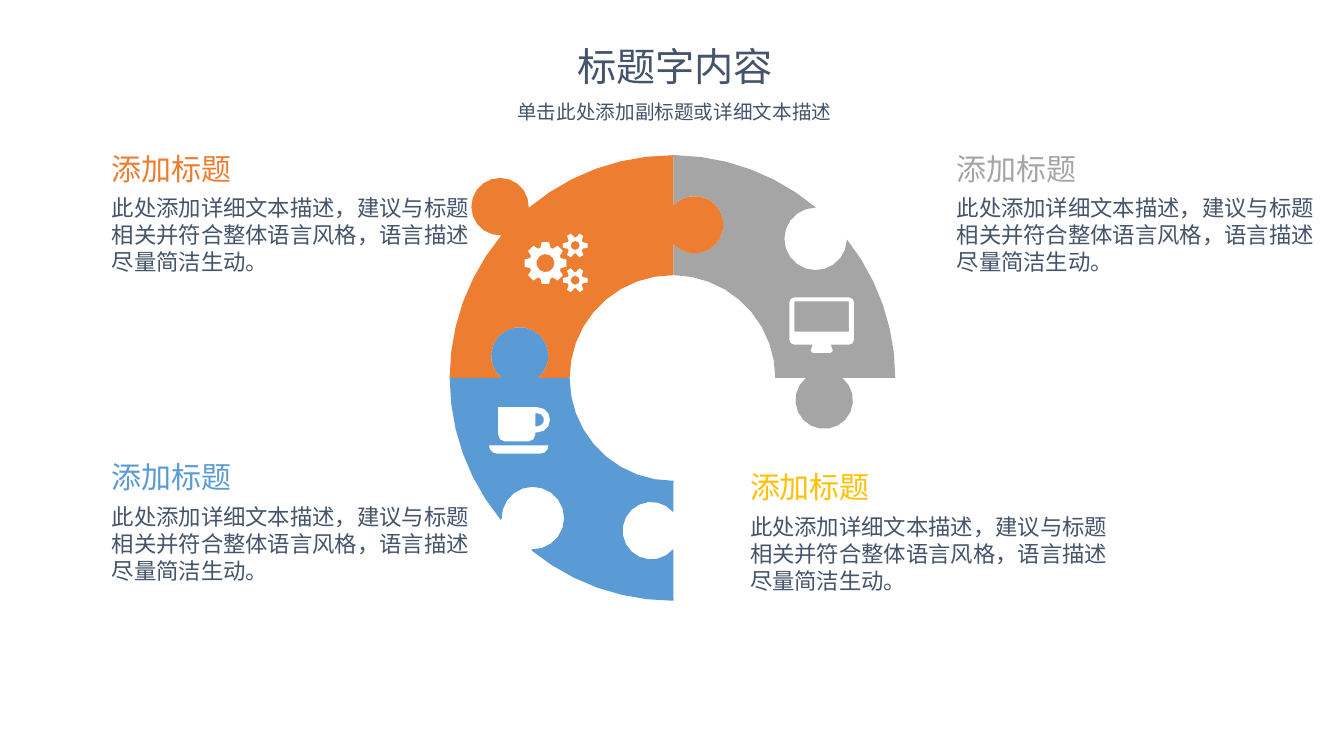
from math import cos, radians, sin, sqrt

from lxml import etree
from pptx import Presentation
from pptx.dml.color import RGBColor
from pptx.enum import text
from pptx.oxml import ns
from pptx.util import Inches, Pt

ORANGE = RGBColor(0xED, 0x7D, 0x31)
GRAY = RGBColor(0xA5, 0xA5, 0xA5)
BLUE = RGBColor(0x5B, 0x9B, 0xD5)
YELLOW = RGBColor(0xFF, 0xC0, 0x00)
SLATE = RGBColor(0x44, 0x54, 0x6A)
WHITE = RGBColor(0xFF, 0xFF, 0xFF)
HEADING_FONT = "Noto Sans CJK SC"
BODY_FONT = "Arial"

prs = Presentation()
prs.slide_width, prs.slide_height = Inches(13.33), Inches(7.5)
slide = prs.slides.add_slide(prs.slide_layouts[6])


def arc(x, y, radius, start, end):
    """Points along a circle, wider apart on small ones; degrees grow clockwise from the right."""
    steps = max(2, round(abs(end - start) * sqrt(radius) / 10))
    angles = [radians(start + (end - start) * i / steps) for i in range(steps + 1)]
    return [(x + radius * cos(a), y + radius * sin(a)) for a in angles]


def add_words(words, box, size, font_name, color, centered=False):
    frame = slide.shapes.add_textbox(*map(Inches, box)).text_frame
    frame.word_wrap = not centered
    frame.auto_size = text.MSO_AUTO_SIZE.SHAPE_TO_FIT_TEXT
    paragraph = frame.paragraphs[0]
    paragraph.alignment = text.PP_ALIGN.CENTER if centered else text.PP_ALIGN.LEFT
    run = paragraph.add_run()
    run.text = words
    for key, value in {"size": Pt(size), "name": font_name}.items():
        setattr(run.font, key, value)
    run.font.color.rgb = color
    east_asian = etree.SubElement(run.font._element, ns.qn("a:ea"))
    east_asian.set("typeface", font_name)


add_words("标题字内容", (5.61, 0.37, 2.17, 0.57), 28, HEADING_FONT, SLATE, True)
add_words("单击此处添加副标题或详细文本描述", (5.02, 0.94, 3.34, 0.34),
          14, HEADING_FONT, SLATE, True)

# Puzzle ring: two rims, the vertical seam, and circular knobs and notches
OUTER = (6.67, 3.75, 2.21)
INNER = (6.67, 3.75, 1.02)
SEAM = 6.68
top_knob = (6.89, 2.23, 0.285)
left_knob = (5.155, 3.53, 0.285)
corner_knob = (4.96, 2.05, 0.285)
right_knob = (8.175, 3.97, 0.285)
bottom_notch = (6.46, 5.265, 0.285)
right_notch = (8.09, 2.37, 0.31)
left_notch = (5.285, 5.14, 0.31)

gray_piece = [
    (SEAM, 1.54), *arc(*OUTER, -89, -50), *arc(*right_notch, 270, 2),
    *arc(*OUTER, -38.4, 0), *arc(*right_knob, -50.5, 230.5),
    *arc(*INNER, 0, -89), (SEAM, 2.73), *arc(*top_knob, 137.5, -137.5)]
blue_piece = [
    *arc(*INNER, 180, 90), (SEAM, 4.77), *arc(*bottom_notch, -40, -320),
    (SEAM, 5.96), *arc(*OUTER, 90, 129.3), *arc(*left_notch, 91, -182),
    *arc(*OUTER, 140.5, 180), *arc(*left_knob, 129.5, 410.5)]
orange_piece = [
    *arc(*OUTER, 180, 219.9), *arc(*corner_knob, 88, 362),
    *arc(*OUTER, 229.8, 270), (SEAM, 1.54), *arc(*top_knob, -137.5, 137.5),
    (SEAM, 2.73), *arc(*INNER, 270, 180), *arc(*left_knob, 50.5, -230.5)]

# Icons: cup, gears and monitor
cup = [
    [(4.85, 4.42), *arc(5.36, 4.42, 0.08, 0, 90), *arc(4.93, 4.42, 0.08, 90, 180)],
    [(4.94, 4.04), *arc(5.33, 4.165, 0.125, -90, 90), (5.31, 4.29),
     *arc(5.24, 4.31, 0.07, 0, 90), *arc(5.01, 4.31, 0.07, 90, 180)],
    [(5.31, 4.1), *arc(5.33, 4.165, 0.065, -90, 90), (5.31, 4.23)]]

gears = []
for x, y, teeth, tip, base, hole, half_base in [
        (5.41, 2.61, 8, 0.21, 0.16, 0.09, 18),
        (5.705, 2.435, 6, 0.125, 0.08, 0.045, 24),
        (5.705, 2.78, 6, 0.125, 0.08, 0.045, 24)]:
    rim = []
    for tooth in range(teeth):
        angle = 360 / teeth * tooth
        for radius, offset in [(base, -half_base), (tip, -10), (tip, 10), (base, half_base)]:
            rim.append((x + radius * cos(radians(angle + offset)),
                        y + radius * sin(radians(angle + offset))))
    gears += [rim, arc(x, y, hole, 360, 0)]

monitor = [
    [*arc(7.88, 3, 0.05, 180, 270), *arc(8.42, 3, 0.05, -90, 0),
     *arc(8.42, 3.37, 0.05, 0, 90), (8.24, 3.42), (8.26, 3.48), (8.24, 3.5),
     (8.06, 3.5), (8.04, 3.48), (8.06, 3.42), *arc(7.88, 3.37, 0.05, 90, 180)],
    [(7.88, 2.99), (8.42, 2.99), (8.42, 3.29), (7.88, 3.29)]]

for contours, color in [([gray_piece], GRAY), ([blue_piece], BLUE), ([orange_piece], ORANGE),
                        (cup, WHITE), (gears, WHITE), (monitor, WHITE)]:
    outlines = [[(Inches(x), Inches(y)) for x, y in contour] for contour in contours]
    builder = slide.shapes.build_freeform(*outlines[0][0])
    builder.add_line_segments(outlines[0][1:])
    for outline in outlines[1:]:
        builder.move_to(*outline[0])
        builder.add_line_segments(outline[1:])
    piece = builder.convert_to_shape()
    piece.shadow.inherit = False
    piece.fill.solid()
    piece.fill.fore_color.rgb = color
    piece.line.fill.background()

for left, top, color in [(1.01, 4.5, BLUE), (1.01, 1.44, ORANGE),
                         (7.34, 4.6, YELLOW), (9.39, 1.44, GRAY)]:
    add_words("添加标题", (left, top, 3.78, 0.46), 21.4, BODY_FONT, color)
    add_words("此处添加详细文本描述，建议与标题相关并符合整体语言风格，语言描述尽量简洁生动。",
              (left, top + 0.44, 3.78, 0.91), 16, BODY_FONT, SLATE)

prs.save("out.pptx")
